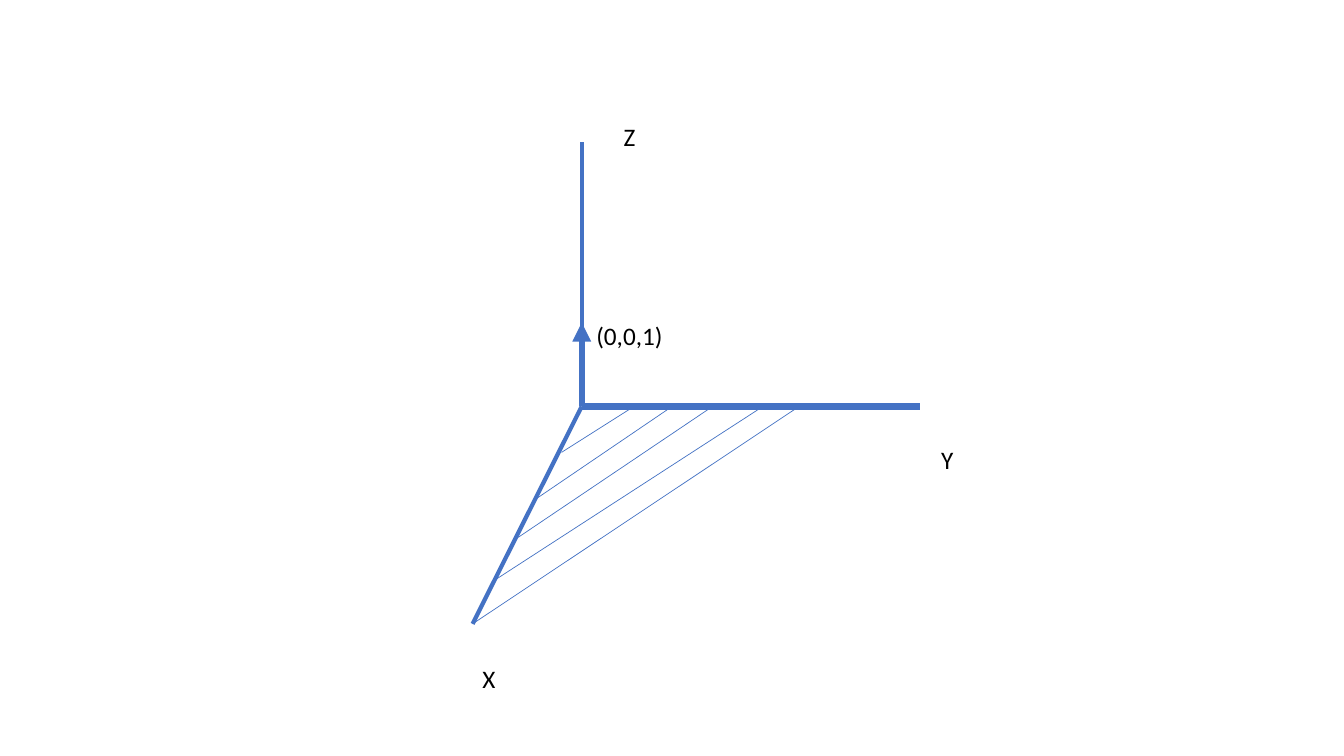
from dataclasses import dataclass

from lxml import etree
from pptx import Presentation
from pptx import util as u
from pptx.dml.color import RGBColor
from pptx.enum import shapes, text
from pptx.oxml import ns


@dataclass(frozen=True)
class Theme:
    font: str = "Calibri"
    ink: str = "000000"
    blue: str = "4472C4"
    label_size: float = 18
    thick: float = 4.5
    medium: float = 3
    hairline: float = 0.5


class Sketch:
    def __init__(self, slide, theme):
        self.slide = slide
        self.theme = theme

    def line(self, start, end, weight, arrow=False):
        points = [u.Cm(value) for value in (*start, *end)]
        line = self.slide.shapes.add_connector(
            shapes.MSO_CONNECTOR.STRAIGHT, *points)
        line.line.color.rgb = RGBColor.from_string(self.theme.blue)
        line.line.width = u.Pt(weight)
        if arrow:
            outline = line.line._get_or_add_ln()
            etree.SubElement(outline, ns.qn("a:tailEnd"), type="triangle")
        etree.SubElement(line._element.spPr, ns.qn("a:effectLst"))

    def label(self, words, left, top, width, height=1.02):
        box = self.slide.shapes.add_textbox(
            u.Cm(left), u.Cm(top), u.Cm(width), u.Cm(height))
        box.text_frame.word_wrap = False
        box.text_frame.auto_size = text.MSO_AUTO_SIZE.SHAPE_TO_FIT_TEXT
        para = box.text_frame.paragraphs[0]
        para.alignment = text.PP_ALIGN.LEFT
        span = para.add_run()
        span.text = words
        span.font.name = self.theme.font
        span.font.size = u.Pt(self.theme.label_size)
        span.font.color.rgb = RGBColor.from_string(self.theme.ink)


def main():
    deck = Presentation()
    deck.slide_width = u.Cm(33.87)
    deck.slide_height = u.Cm(19.05)
    page = deck.slides.add_slide(deck.slide_layouts[6])
    theme = Theme()
    sketch = Sketch(page, theme)

    origin = origin_x, origin_y = 14.66, 10.24
    x_end = (11.91, 15.72)
    sketch.line(origin, (23.19, origin_y), theme.thick)
    sketch.line(origin, x_end, theme.medium)
    sketch.line(origin, (origin_x, 3.58), theme.medium)

    hatching = [
        ((14.15, 11.4), 15.98),
        ((13.54, 12.55), 16.94),
        ((13.06, 13.54), 17.96),
        ((12.45, 14.63), 19.23),
        (x_end, 20.14),
    ]
    for x_axis_point, y_axis_reach in hatching:
        sketch.line(x_axis_point, (y_axis_reach, origin_y), theme.hairline)

    sketch.label("Z", 15.47, 2.92, 0.81)
    sketch.label("Y", 23.47, 11.07, 0.81)
    sketch.label("X", 11.91, 16.59, 0.84)
    sketch.line(origin, (origin_x, 8.13), theme.thick, arrow=True)
    sketch.label("(0,0,1)", 14.78, 7.95, 2.21)

    deck.save("out.pptx")


if __name__ == "__main__":
    main()
